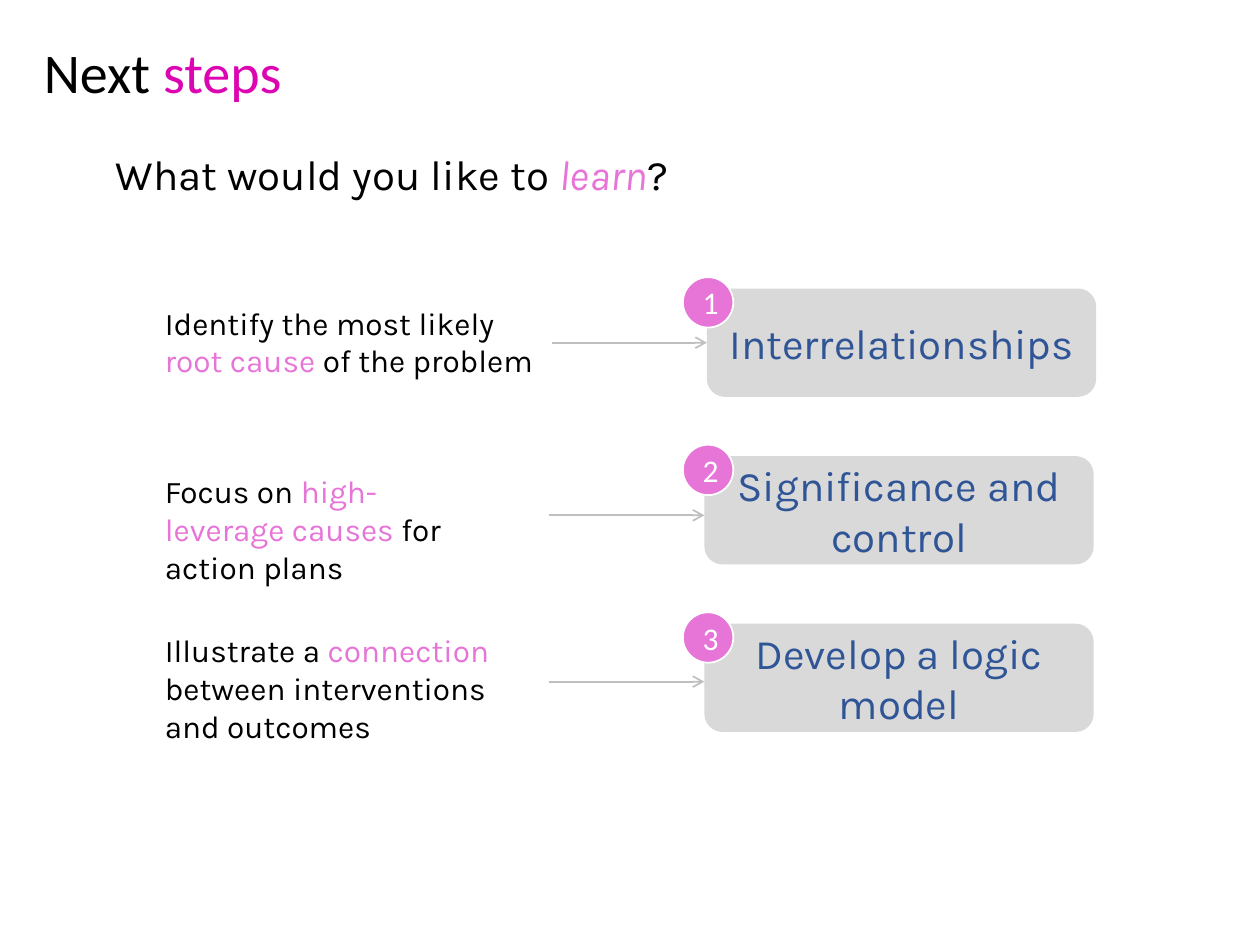
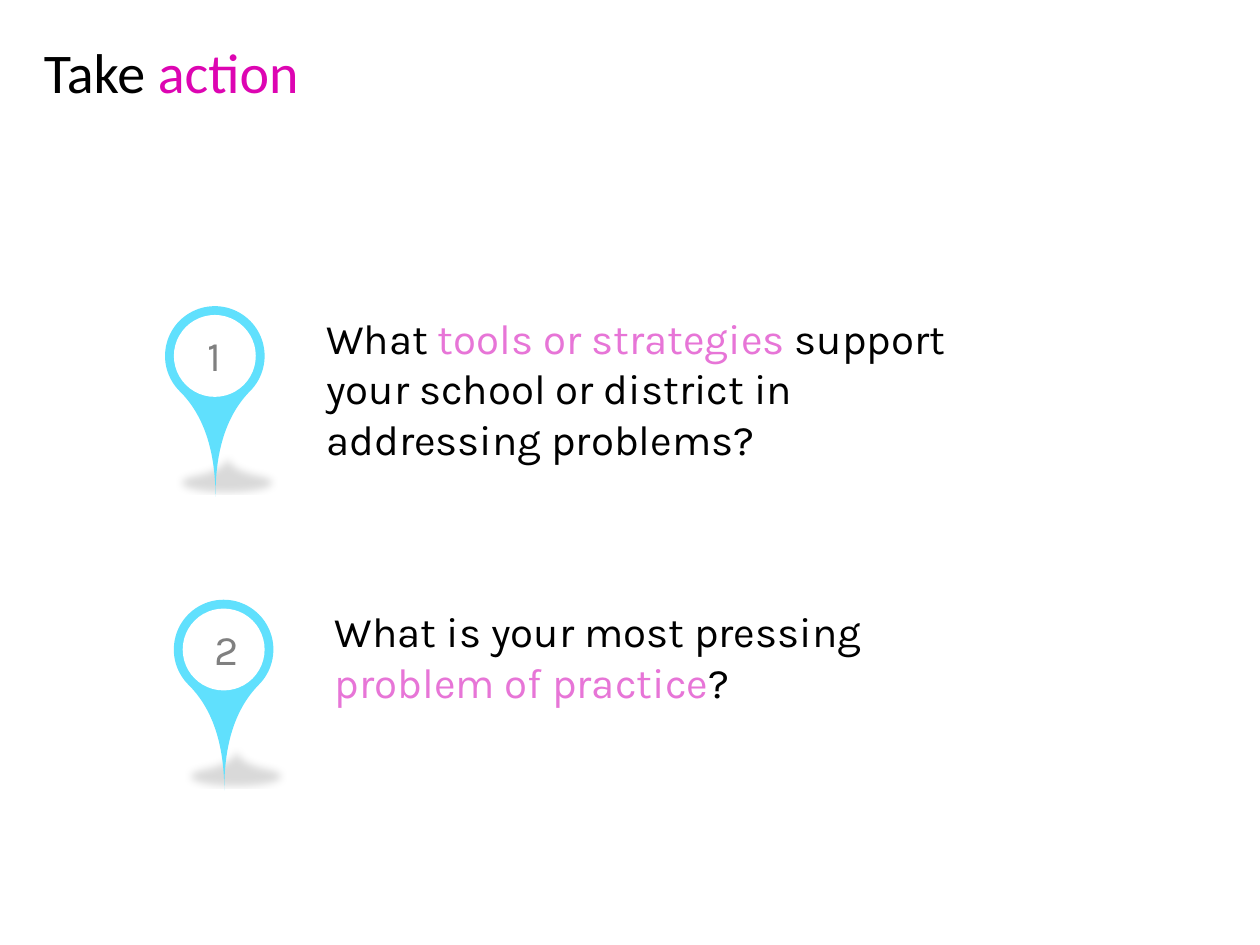
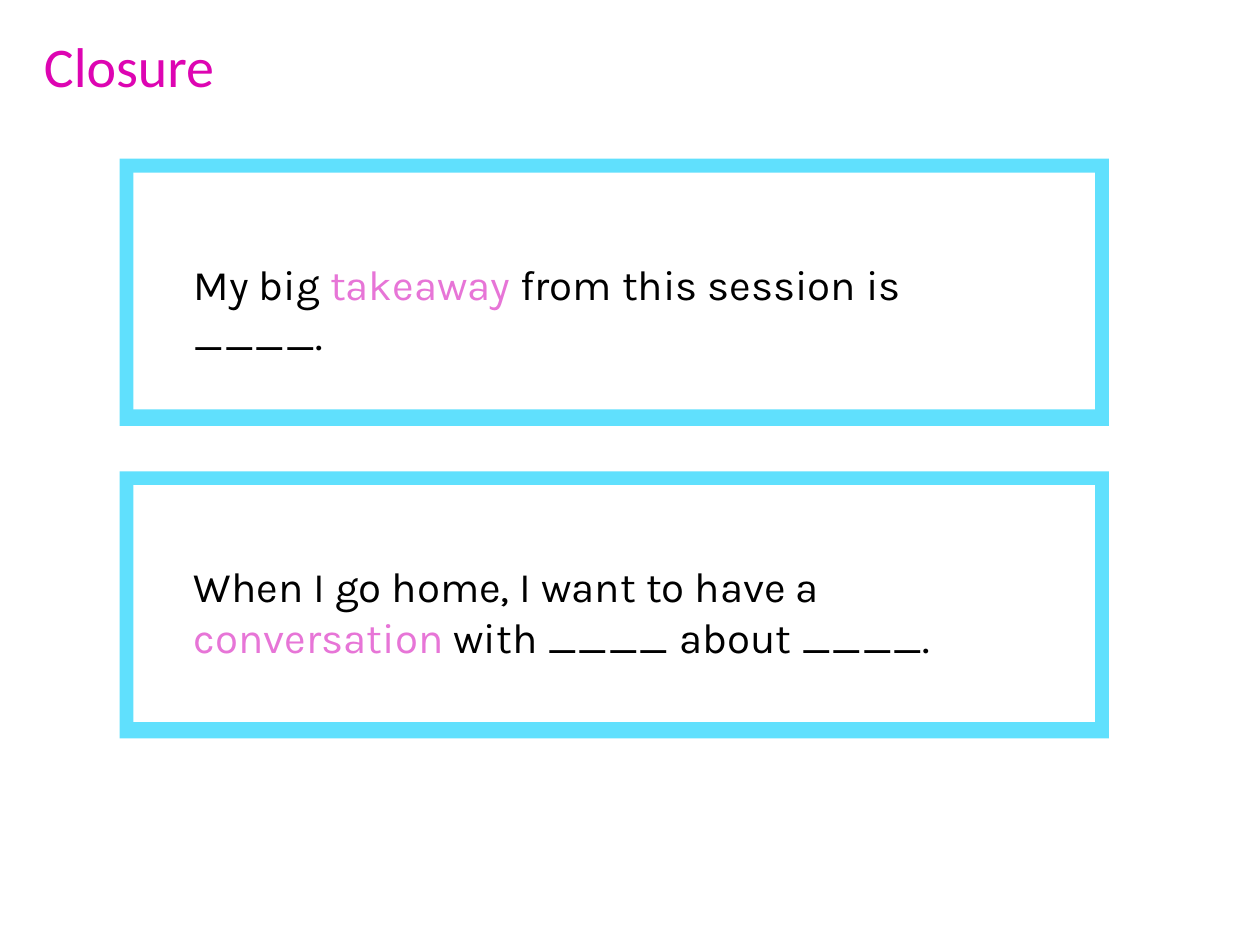
from lxml import etree
from pptx import Presentation
from pptx.dml.color import RGBColor
from pptx.enum.shapes import MSO_CONNECTOR, MSO_SHAPE
from pptx.enum.text import MSO_ANCHOR, PP_ALIGN
from pptx.oxml.ns import qn
from pptx.util import Inches, Pt

RECT, ROUND = MSO_SHAPE.RECTANGLE, MSO_SHAPE.ROUNDED_RECTANGLE
OVAL, TEAR = MSO_SHAPE.OVAL, MSO_SHAPE.TEAR
LINE = MSO_CONNECTOR.STRAIGHT
TOP, MIDDLE = MSO_ANCHOR.TOP, MSO_ANCHOR.MIDDLE
LEFT, CENTER = PP_ALIGN.LEFT, PP_ALIGN.CENTER

BLACK, WHITE, GREY, SILVER, DARK = "000000", "FFFFFF", "808080", "BFBFBF", "D9D9D9"
MAGENTA, PINK, CYAN, BLUE = "DD05B2", "E775D7", "60E0FD", "2F5597"

# Text styles: font values, then base and accent colours
HEAD = {"font": {"name": "Calibri", "size": Pt(32)}, "base": BLACK, "accent": MAGENTA}
BODY = {"font": {"name": "Karla", "size": Pt(24)}, "base": BLACK, "accent": PINK}
ASK = {**BODY, "extra": {"italic": True}}
NOTE = {**BODY, "font": {"name": "Karla", "size": Pt(18)}}
LABEL = {**BODY, "base": BLUE}
DIGIT = {**BODY, "base": GREY}
BADGE = {"font": {"name": "Calibri", "size": Pt(18)}, "base": WHITE, "accent": WHITE}


def color(code):
    return RGBColor.from_string(code)


class Deck:
    def __init__(self):
        self.prs = Presentation()
        self.prs.slide_width, self.prs.slide_height = Inches(10), Inches(7.5)
        self.slide = None

    def page(self, title, width, top=0.25):
        self.slide = self.prs.slides.add_slide(self.prs.slide_layouts[6])
        self.text((0.25, top, width, 0.64), title, HEAD)

    def fill_text(self, frame, words, style, anchor=TOP, align=LEFT):
        """Fill a frame; parts between bars take the accent colour."""
        frame.word_wrap = True
        frame.vertical_anchor = anchor
        para = frame.paragraphs[0]
        para.alignment = align
        for i, part in enumerate(words.split("|")):
            if not part:
                continue
            run = para.add_run()
            run.text = part
            accent = i % 2 == 1
            form = {**style["font"], **(style.get("extra", {}) if accent else {})}
            for key, value in form.items():
                setattr(run.font, key, value)
            run.font.color.rgb = color(style["accent" if accent else "base"])

    def text(self, at, words, style):
        box = self.slide.shapes.add_textbox(*map(Inches, at))
        self.fill_text(box.text_frame, words, style)

    def shape(self, kind, at, fill, words="", style=None, line=None):
        item = self.slide.shapes.add_shape(kind, *map(Inches, at))
        item.shadow.inherit = False
        item.fill.solid()
        item.fill.fore_color.rgb = color(fill)
        if line:
            item.line.color.rgb = color(line)
            item.line.width = Pt(1)
        else:
            item.line.fill.background()
        if words:
            self.fill_text(item.text_frame, words, style, MIDDLE, CENTER)
        return item

    def arrow(self, left, right, y):
        item = self.slide.shapes.add_connector(
            LINE, *map(Inches, (left, y, right, y)))
        item.line.color.rgb = color(SILVER)
        item.line.width = Pt(1)
        props = item._element.spPr
        etree.SubElement(props.find(qn("a:ln")), qn("a:tailEnd"), type="arrow")
        etree.SubElement(props, qn("a:effectLst"))

    def pin(self, left, top):
        drop = self.shape(TEAR, (left, top, 0.79, 0.79), CYAN)
        drop.adjustments[0] = 2
        drop.rotation = 134.7
        # Flattened, mirrored shadow below the tip
        effects = drop._element.spPr.find(qn("a:effectLst"))
        cast = etree.SubElement(
            effects, qn("a:outerShdw"), blurRad=str(Pt(5)), dist=str(Pt(5)),
            dir="5400000", sx="90000", sy="-19000", rotWithShape="0")
        tint = etree.SubElement(cast, qn("a:srgbClr"), val=BLACK)
        etree.SubElement(tint, qn("a:alpha"), val="15000")
        self.shape(OVAL, (left + 0.07, top + 0.07, 0.65, 0.65), WHITE)

    def frame(self, top):
        self.shape(RECT, (0.95, top, 7.85, 2.12), CYAN)
        self.shape(RECT, (1.06, top + 0.11, 7.63, 1.88), WHITE)


def steps(deck):
    deck.page("Next |steps", 3.66)
    deck.text((0.82, 1.13, 6.75, 0.5), "What would you like to |learn|?", ASK)
    # Box label, box left, arrow height, note place, note
    rows = [
        ("Interrelationships", 5.61, 2.72, (1.21, 2.36, 3.18, 0.71),
         "Identify the most likely |root cause |of the problem"),
        ("Significance and control", 5.59, 4.09, (1.21, 3.7, 2.75, 0.71),
         "Focus on |high-leverage causes |for action plans"),
        ("Develop a logic model", 5.59, 5.41, (1.21, 4.96, 3.16, 1.01),
         "Illustrate a |connection |between interventions and outcomes"),
    ]
    for i, (label, left, level, at, note) in enumerate(rows):
        top = 2.29 + 1.33 * i
        deck.shape(ROUND, (left, top, 3.09, 0.86), DARK, label, LABEL)
        deck.shape(OVAL, (5.42, top - 0.09, 0.4, 0.4), PINK, str(i + 1), BADGE, WHITE)
        deck.text(at, note, NOTE)
        deck.arrow(left - 1.23, left, level)


def action(deck):
    deck.page("Take |action", 7.33)
    # Pin place, digit left, text height, question
    rows = [
        (1.31, 2.43, 1.55, 1.31, "What |tools or strategies |support your school "
                                 "or district in addressing problems?"),
        (1.38, 4.76, 1.6, 0.91, "What is your most pressing |problem of practice|?"),
    ]
    for i, (left, top, digit, height, words) in enumerate(rows):
        deck.pin(left, top)
        deck.text((left + 1.18, top, 5.62, height), words, BODY)
        deck.text((digit, top + 0.14, 0.39, 0.5), str(i + 1), DIGIT)


def closure(deck):
    deck.page("|Closure", 3.52, 0.2)
    # Frame top, text place, prompt
    rows = [
        (1.26, (1.44, 2, 6.75, 0.5), "My big |takeaway| from this session is ____."),
        (3.74, (1.44, 4.4, 6.88, 0.91),
         "When I go home, I want to have a |conversation| with ____ about ____."),
    ]
    for top, at, words in rows:
        deck.frame(top)
        deck.text(at, words, BODY)


def main():
    deck = Deck()
    for build in (steps, action, closure):
        build(deck)
    deck.prs.save("out.pptx")


if __name__ == "__main__":
    main()
